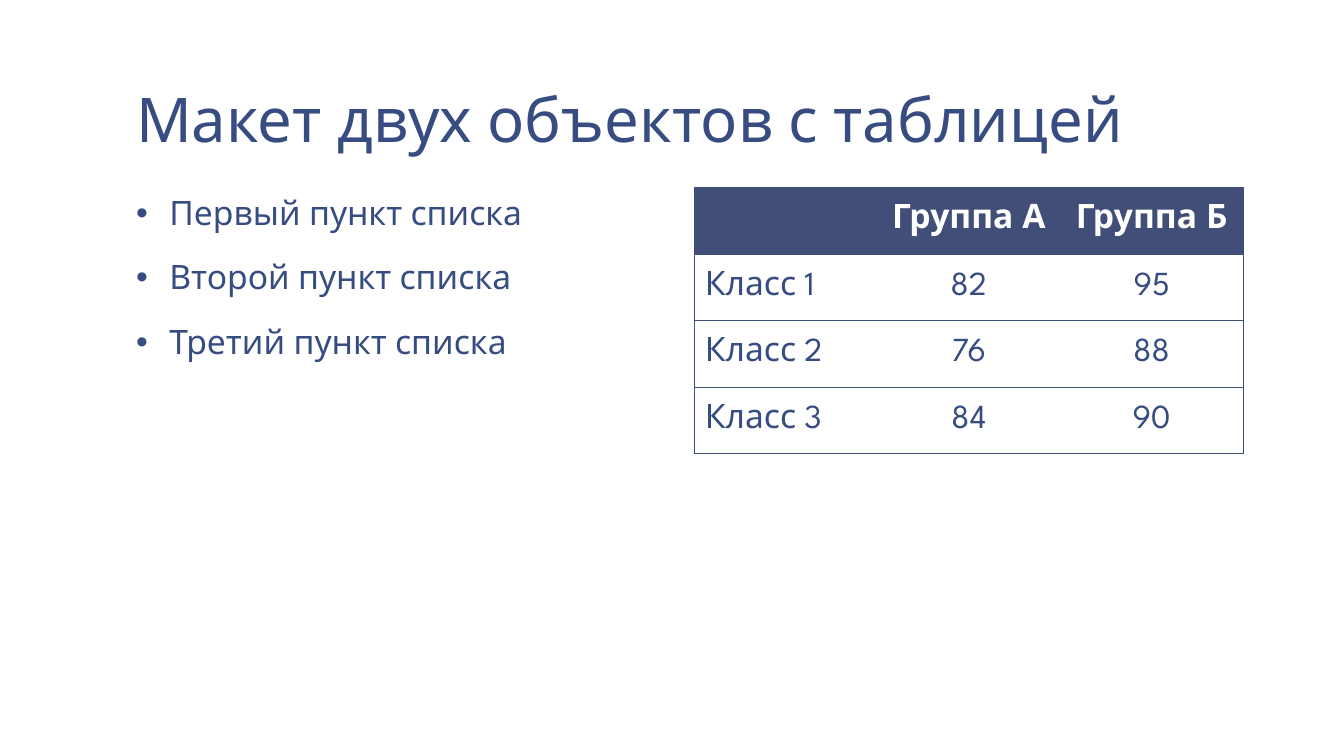
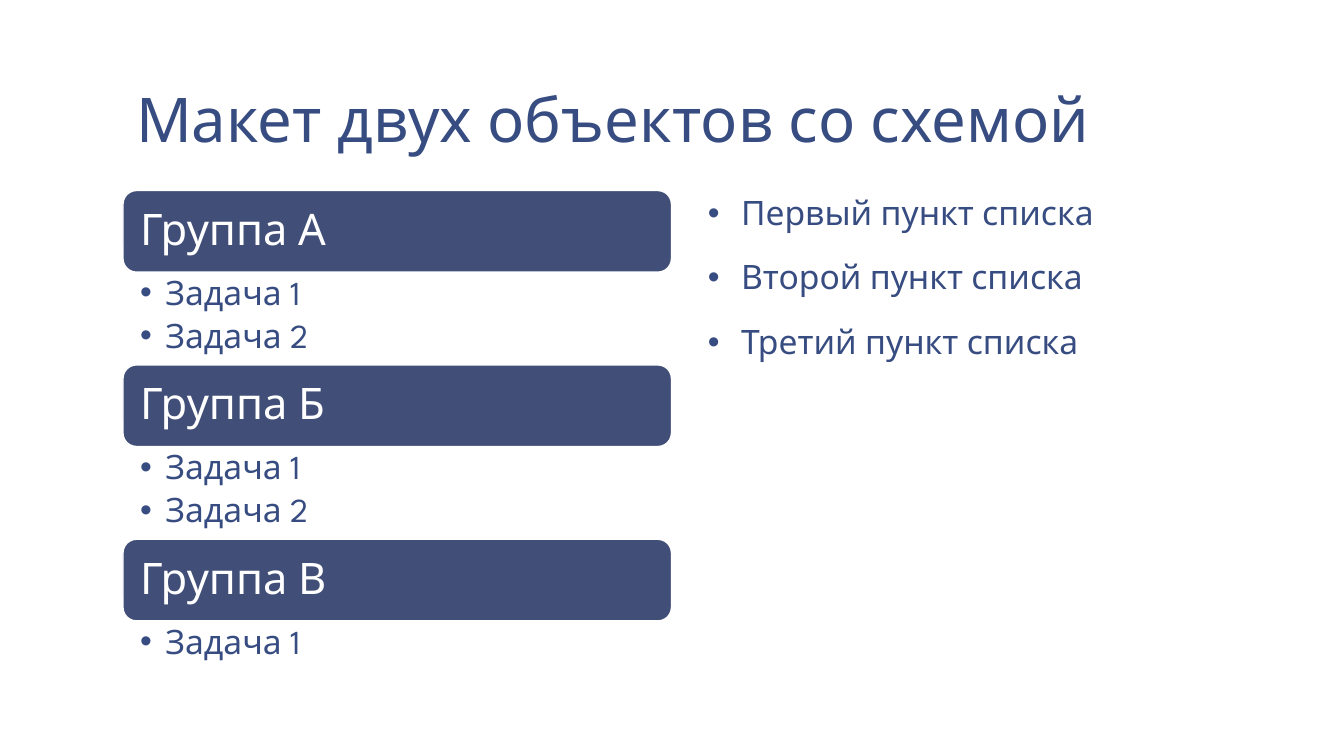
import pptx
import pptx.dml.color
import pptx.enum.shapes
import pptx.enum.text
import pptx.oxml
import pptx.oxml.ns
import pptx.util
from lxml import etree

Inches = pptx.util.Inches
Pt = pptx.util.Pt
ALIGN = pptx.enum.text.PP_ALIGN
ANCHOR = pptx.enum.text.MSO_ANCHOR

FONT = "League Spartan"
INK = "374C81"
NAVY = "414E77"
WHITE = "FFFFFF"

TITLE_BOX = (1.22, 0.08, 11.11, 1.53)
LEFT_BOX = (1.22, 1.86, 5.44, 4.89)
RIGHT_BOX = (6.89, 1.86, 5.44, 4.89)

POINTS = ["Первый пункт списка", "Второй пункт списка", "Третий пункт списка"]
SCORES = [
    ["", "Группа А", "Группа Б"],
    ["Класс 1", "82", "95"],
    ["Класс 2", "76", "88"],
    ["Класс 3", "84", "90"],
]
GROUPS = [
    ("Группа А", ["Задача 1", "Задача 2"]),
    ("Группа Б", ["Задача 1", "Задача 2"]),
    ("Группа В", ["Задача 1"]),
]


def color(value):
    return pptx.dml.color.RGBColor.from_string(value)


def fill_solid(target, value):
    target.fill.solid()
    target.fill.fore_color.rgb = color(value)


def add_span(para, text, size, ink, bold=False):
    span = para.add_run()
    span.text = text
    font = span.font
    font.name, font.size, font.bold = FONT, Pt(size), bold
    font.color.rgb = color(ink)


def prepare_frame(frame, margins, anchor):
    """Set wrapping, anchor and margins (left, top, right, bottom)."""
    frame.word_wrap = True
    frame.auto_size = pptx.enum.text.MSO_AUTO_SIZE.NONE
    frame.vertical_anchor = anchor
    (frame.margin_left, frame.margin_top,
     frame.margin_right, frame.margin_bottom) = map(Inches, margins)


def add_bullet(para, indent):
    properties = para._p.get_or_add_pPr()
    properties.set("marL", str(Inches(indent)))
    properties.set("indent", str(-Inches(indent)))
    for tag, name, value in (("a:buFont", "typeface", "Arial"),
                             ("a:buChar", "char", "•")):
        bullet = etree.SubElement(properties, pptx.oxml.ns.qn(tag))
        bullet.set(name, value)


def add_bullets(page, box, items, margins, indent, line, before=0, after=0):
    frame = page.shapes.add_textbox(*map(Inches, box)).text_frame
    prepare_frame(frame, margins, ANCHOR.TOP)
    for index, item in enumerate(items):
        para = frame.add_paragraph() if index else frame.paragraphs[0]
        add_bullet(para, indent)
        para.line_spacing = line
        para.space_before = Pt(before if index else 0)
        para.space_after = Pt(after)
        add_span(para, item, 24, INK)


def add_point_list(page, box):
    add_bullets(page, box, POINTS, (0.13, 0.07, 0.13, 0.07), 0.33, 0.95,
                before=18.7)


def add_page(deck, title_text):
    page = deck.slides.add_slide(deck.slide_layouts[5])
    title = page.shapes.title
    title.left, title.top, title.width, title.height = map(Inches, TITLE_BOX)
    prepare_frame(title.text_frame, (0.13, 0.07, 0.13, 0.07), ANCHOR.BOTTOM)
    para = title.text_frame.paragraphs[0]
    para.alignment = ALIGN.LEFT
    para.line_spacing = 0.85
    add_span(para, title_text, 44, INK)
    return page


def set_borders(cell, sides):
    """Draw a thin line on the named sides (L, R, T, B) and none elsewhere."""
    properties = cell._tc.get_or_add_tcPr()
    for position, side in enumerate("LRTB"):
        line = etree.Element(pptx.oxml.ns.qn("a:ln" + side))
        if side in sides:
            line.set("w", str(Pt(0.5)))
            fill = etree.SubElement(line, pptx.oxml.ns.qn("a:solidFill"))
            etree.SubElement(fill, pptx.oxml.ns.qn("a:srgbClr")).set("val", NAVY)
        else:
            etree.SubElement(line, pptx.oxml.ns.qn("a:noFill"))
        properties.insert(position, line)


def add_score_table(page, box):
    left, top, width, _ = box
    row_height = 0.66
    columns = len(SCORES[0])
    table = page.shapes.add_table(
        len(SCORES), columns, Inches(left), Inches(top),
        Inches(width), Inches(row_height * len(SCORES))).table
    table.horz_banding = False
    for row, texts in enumerate(SCORES):
        for column, text in enumerate(texts):
            cell = table.cell(row, column)
            cell.vertical_anchor = ANCHOR.MIDDLE
            header = row == 0
            if header:
                fill_solid(cell, NAVY)
            else:
                cell.fill.background()
            outer = {0: "L", columns - 1: "R"}.get(column, "")
            set_borders(cell, "TB" + outer)
            para = cell.text_frame.paragraphs[0]
            para.alignment = ALIGN.CENTER if column else ALIGN.LEFT
            if text:
                add_span(para, text, 24, WHITE if header else INK, header)


def add_group_bar(page, box, name):
    bar = page.shapes.add_shape(
        pptx.enum.shapes.MSO_SHAPE.ROUNDED_RECTANGLE, *map(Inches, box))
    bar.shadow.inherit = False
    fill_solid(bar, NAVY)
    bar.line.color.rgb = color(WHITE)
    bar.line.width = Pt(1)
    prepare_frame(bar.text_frame, (0.13, 0.13, 0.13, 0.13), ANCHOR.MIDDLE)
    para = bar.text_frame.paragraphs[0]
    para.alignment = ALIGN.LEFT
    para.line_spacing = 0.9
    add_span(para, name, 31, WHITE)


def add_group_list(page, box):
    left, top, width, _ = box
    bar_height, pitch = 0.81, 1.73
    for index, (name, tasks) in enumerate(GROUPS):
        bar_top = top + 0.03 + index * pitch
        add_group_bar(page, (left, bar_top, width, bar_height), name)
        task_box = (left, bar_top + bar_height, width, pitch - bar_height)
        add_bullets(page, task_box, tasks, (0.17, 0.04, 0.24, 0.04),
                    0.25, 0.9, after=4.8)


def main():
    deck = pptx.Presentation()
    deck.slide_width, deck.slide_height = Inches(13.33), Inches(7.5)

    page = add_page(deck, "Макет двух объектов с таблицей")
    add_point_list(page, LEFT_BOX)
    add_score_table(page, RIGHT_BOX)

    page = add_page(deck, "Макет двух объектов со схемой")
    add_group_list(page, LEFT_BOX)
    add_point_list(page, RIGHT_BOX)

    deck.save("out.pptx")


if __name__ == "__main__":
    main()
